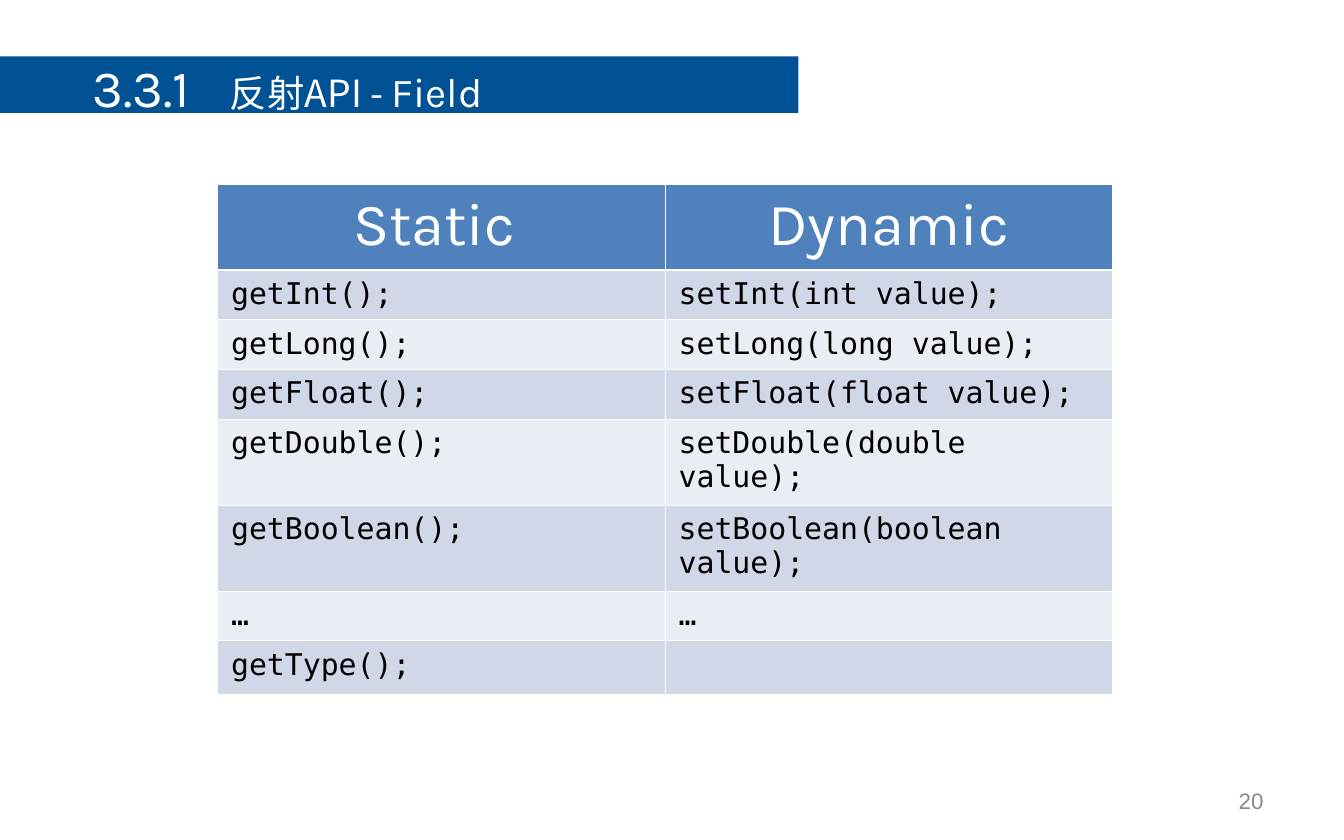
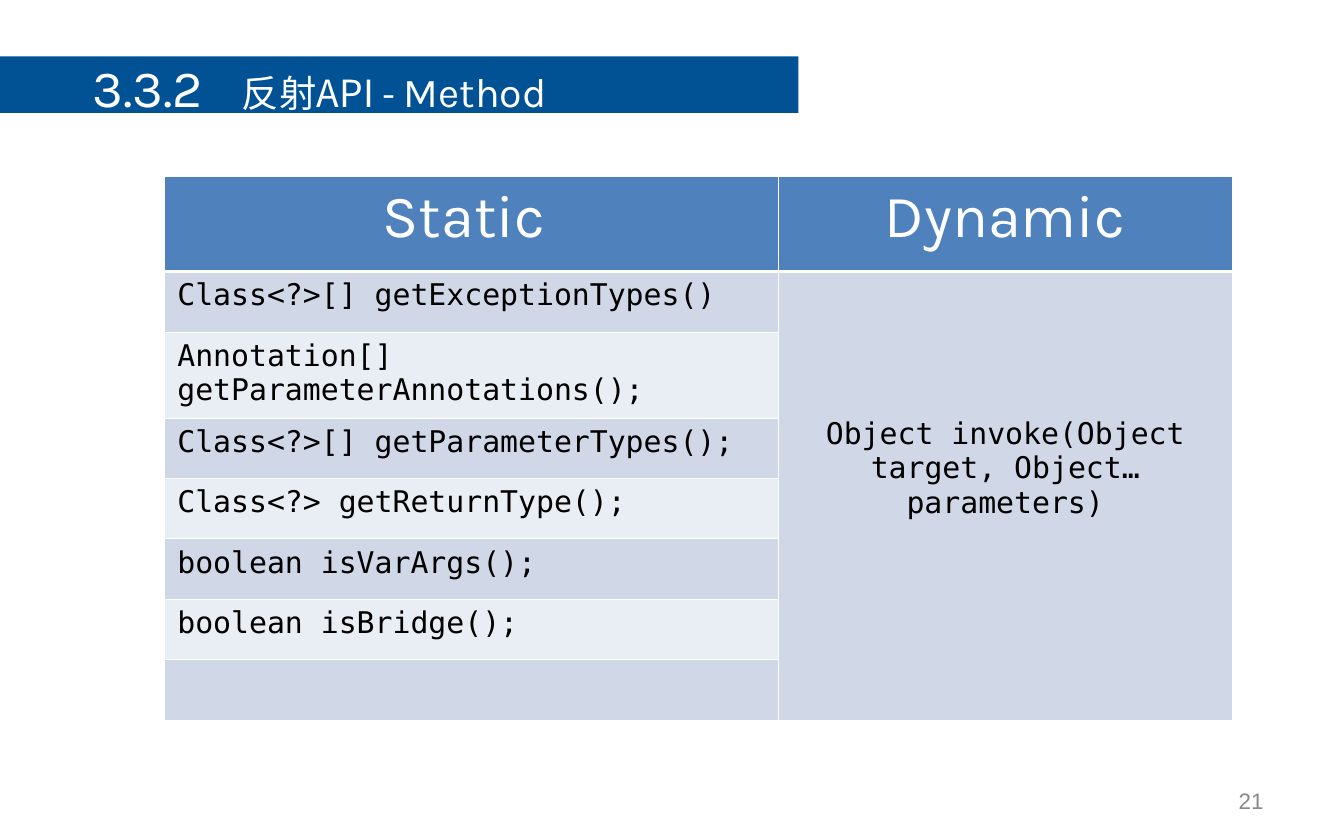
from lxml import etree
from pptx import Presentation
from pptx.dml.color import RGBColor
from pptx.enum.shapes import MSO_SHAPE
from pptx.enum.text import MSO_ANCHOR, MSO_AUTO_SIZE, PP_ALIGN
from pptx.oxml.ns import qn
from pptx.util import Inches, Pt

RECT = MSO_SHAPE.RECTANGLE
TOP, MIDDLE = MSO_ANCHOR.TOP, MSO_ANCHOR.MIDDLE
GROW = MSO_AUTO_SIZE.SHAPE_TO_FIT_TEXT
LEFT, CENTER, RIGHT = PP_ALIGN.LEFT, PP_ALIGN.CENTER, PP_ALIGN.RIGHT

WHITE = RGBColor(0xFF, 0xFF, 0xFF)
BLACK = RGBColor(0x00, 0x00, 0x00)
GRAY = RGBColor(0x89, 0x89, 0x89)
NAVY = RGBColor(0x00, 0x52, 0x95)
BLUE = RGBColor(0x4F, 0x81, 0xBD)
DARK = RGBColor(0xD0, 0xD8, 0xE8)
PALE = RGBColor(0xE9, 0xED, 0xF4)

HEAD, HAN, CODE, PLAIN = "Karla", "Noto Sans CJK SC", "DejaVu Sans Mono", "Arial"
THIN, THICK = 0.45, 1.47

FIELDS = [
    ("Static ", "Dynamic"),
    ("getInt();", "setInt(int value);"),
    ("getLong();", "setLong(long value);"),
    ("getFloat();", "setFloat(float value);"),
    ("getDouble();", "setDouble(double value);"),
    ("getBoolean();", "setBoolean(boolean value);"),
    ("…", "…"),
    ("getType();", ""),
]
METHODS = [
    ("Static ", "Dynamic"),
    ("Class<?>[] getExceptionTypes()", "Object invoke(Object target, Object… parameters)"),
    ("Annotation[] getParameterAnnotations();", ""),
    ("Class<?>[] getParameterTypes();", ""),
    ("Class<?> getReturnType();", ""),
    ("boolean isVarArgs();", ""),
    ("boolean isBridge();", ""),
    ("", ""),
]


class Deck:
    """Holds the shared style and the current slide."""

    def __init__(self):
        """Start an empty deck."""
        self.prs = Presentation()
        self.prs.slide_width, self.prs.slide_height = Inches(10), Inches(6.25)

    def start(self, page, number, topic, stop):
        """Add a slide with page number, band and title."""
        self.slide = self.prs.slides.add_slide(self.prs.slide_layouts[5])
        self.page(page)
        self.title(number, topic, stop, self.band())

    def place(self, shape, left, top, width, height):
        """Move and size a shape."""
        shape.left, shape.top = Inches(left), Inches(top)
        shape.width, shape.height = Inches(width), Inches(height)

    def run(self, para, text, size, face, color):
        """Add one formatted run."""
        run = para.add_run()
        run.text = text
        font = run.font
        font.size, font.name, font.bold = Pt(size), face, False
        font.color.rgb = color
        east = etree.SubElement(run._r.get_or_add_rPr(), qn("a:ea"))
        east.set("typeface", HAN if face == HEAD else face)

    def page(self, page):
        """Add the page number."""
        box = self.slide.shapes.add_textbox(
            Inches(7.17), Inches(5.79), Inches(2.33), Inches(0.33))
        frame = box.text_frame
        frame.word_wrap, frame.vertical_anchor = True, MIDDLE
        para = frame.paragraphs[0]
        para.alignment = RIGHT
        self.run(para, str(page), 12, PLAIN, GRAY)

    def band(self):
        """Add the band behind the title."""
        band = self.slide.shapes.add_shape(
            RECT, 0, Inches(0.42), Inches(5.94), Inches(0.42))
        band.shadow.inherit = False
        band.fill.solid()
        band.fill.fore_color.rgb = NAVY
        band.line.fill.background()
        return band

    def title(self, number, topic, stop, band):
        """Fill the title and lift it above the band."""
        title = self.slide.shapes.title
        self.place(title, 0.59, 0.36, 5.74, 0.57)
        band.element.addnext(title.element)
        frame = title.text_frame
        frame.word_wrap, frame.vertical_anchor = True, TOP
        frame.auto_size = GROW
        para = frame.paragraphs[0]
        para.alignment = LEFT
        tabs = etree.SubElement(para._p.get_or_add_pPr(), qn("a:tabLst"))
        etree.SubElement(tabs, qn("a:tab"), pos=str(Inches(stop)), algn="l")
        self.run(para, number + "\t", 28, HEAD, WHITE)
        self.run(para, "反射API - ", 20, HAN, WHITE)
        self.run(para, topic, 22, HEAD, WHITE)

    def edge(self, cell, row):
        """Draw the four borders of a cell."""
        props = cell._tc.get_or_add_tcPr()
        for side in "LRTB":
            heavy = (row, side) in ((0, "B"), (1, "T"))
            line = etree.SubElement(props, qn("a:ln" + side))
            line.set("w", str(Pt(THICK if heavy else THIN)))
            fill = etree.SubElement(line, qn("a:solidFill"))
            etree.SubElement(fill, qn("a:srgbClr"), val=str(WHITE))

    def cell(self, cell, row, text):
        """Style and fill one cell."""
        self.edge(cell, row)
        cell.fill.solid()
        cell.fill.fore_color.rgb = BLUE if row == 0 else DARK if row % 2 else PALE
        para = cell.text_frame.paragraphs[0]
        if row == 0:
            para.alignment = CENTER
            self.run(para, text, 32, HEAD, WHITE)
        elif text:
            self.run(para, text, 16, CODE, BLACK)
        else:
            para.font.size = Pt(16)

    def table(self, left, top, cols, rows, data):
        """Add a table with banded rows."""
        table = self.slide.shapes.add_table(
            len(rows), len(cols), Inches(left), Inches(top),
            Inches(sum(cols)), Inches(sum(rows))).table
        for col, width in zip(table.columns, cols):
            col.width = Inches(width)
        for row, height in zip(table.rows, rows):
            row.height = Inches(height)
        for row, line in enumerate(data):
            for col, text in enumerate(line):
                self.cell(table.cell(row, col), row, text)
        return table


def main():
    """Build both slides and save."""
    deck = Deck()
    deck.start(20, "3.3.1", "Field", 1.02)
    deck.table(1.62, 1.37, [3.33] * 2,
               [0.64] + [0.37] * 3 + [0.64] * 2 + [0.37, 0.4], FIELDS)

    deck.start(21, "3.3.2", "Method", 1.11)
    table = deck.table(1.22, 1.31, [4.57, 3.38],
                       [0.71, 0.45, 0.64] + [0.45] * 5, METHODS)
    call = table.cell(1, 1)
    call.merge(table.cell(7, 1))
    call.margin_top = Inches(1.08)
    call.text_frame.paragraphs[0].alignment = CENTER
    deck.prs.save("out.pptx")


if __name__ == "__main__":
    main()
